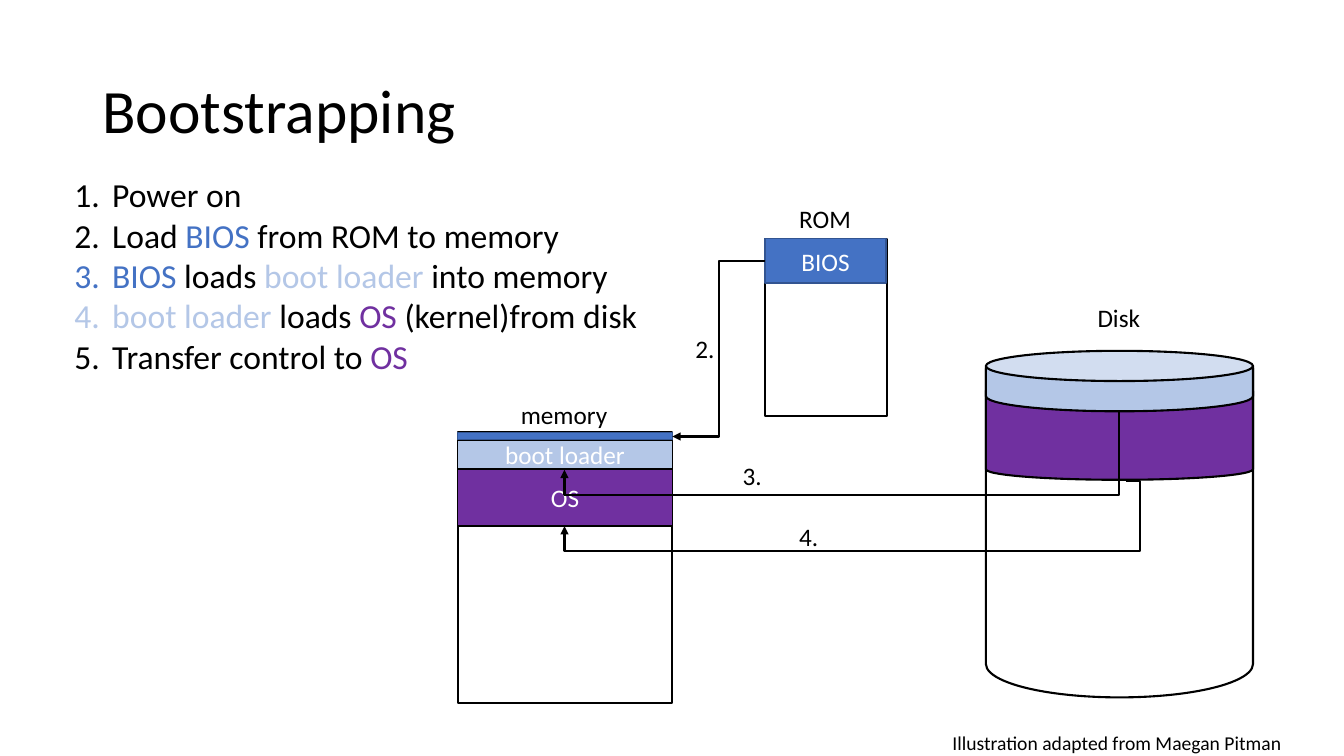
from dataclasses import dataclass

from pptx import Presentation
from pptx.dml.color import RGBColor
from pptx.enum.shapes import MSO_CONNECTOR as Link, MSO_SHAPE as Kind
from pptx.enum.text import MSO_ANCHOR as Anchor, MSO_AUTO_SIZE as Fit, PP_ALIGN as Align
from pptx.oxml.ns import qn
from pptx.oxml.xmlchemy import OxmlElement
from pptx.util import Pt

FONT = "Calibri"
BLACK, WHITE = "000000", "FFFFFF"
BIOS, LOADER, OS, EDGE = "4472C4", "B4C7E7", "7030A0", "325491"
DISK_X, DISK_W = 704.2, 190.8
MEM_X, MEM_Y, MEM_W = 326.9, 308.9, 153.4
ROM_X, ROM_Y = 546.5, 170.6


@dataclass
class Block:
    name: str
    box: tuple
    fill: str
    kind: Kind = Kind.RECTANGLE
    line: str = BLACK
    weight: float = 1.5
    text: str = ""
    adj: float | None = None


@dataclass
class Label:
    box: tuple
    lines: list
    size: float = 18
    wrap: bool = False
    anchor: Anchor = Anchor.TOP
    fit: Fit = Fit.SHAPE_TO_FIT_TEXT
    spacing: float = 1.0
    numbered: bool = False


@dataclass
class Route:
    box: tuple
    turn: int
    flip: bool
    end: tuple
    start: tuple | None = None
    preset: str = "bentConnector3"
    adj: tuple = ()


def rgb(value: str) -> RGBColor:
    return RGBColor.from_string(value)


def add_child(parent, tag: str, attrs: dict):
    child = OxmlElement(tag)
    for key, value in attrs.items():
        child.set(key, str(value))
    parent.append(child)
    return child


def add_run(p, text: str, size: float, color: str) -> None:
    r = p.add_run()
    r.text = text
    for key, value in {"name": FONT, "size": Pt(size)}.items():
        setattr(r.font, key, value)
    r.font.color.rgb = rgb(color)


def draw_block(shapes, block: Block):
    s = shapes.add_shape(block.kind, *map(Pt, block.box))
    s.shadow.inherit = False
    s.fill.solid()
    s.fill.fore_color.rgb = rgb(block.fill)
    s.line.color.rgb = rgb(block.line)
    s.line.width = Pt(block.weight)
    if block.adj is not None:
        s.adjustments[0] = block.adj
    if block.text:
        s.text_frame.vertical_anchor = Anchor.MIDDLE
        p = s.text_frame.paragraphs[0]
        p.alignment = Align.CENTER
        add_run(p, block.text, 18, WHITE)
    return s


def draw_label(shapes, label: Label) -> None:
    tf = shapes.add_textbox(*map(Pt, label.box)).text_frame
    formats = {"word_wrap": label.wrap, "auto_size": label.fit, "vertical_anchor": label.anchor}
    for key, value in formats.items():
        setattr(tf, key, value)
    for i, runs in enumerate(label.lines):
        p = tf.add_paragraph() if i else tf.paragraphs[0]
        p.line_spacing = label.spacing
        if label.numbered:
            pPr = p._p.get_or_add_pPr()
            for key, value in {"marL": Pt(27), "indent": -Pt(27)}.items():
                pPr.set(key, str(value))
            add_child(pPr, "a:buFont", {"typeface": "+mj-lt"})
            add_child(pPr, "a:buAutoNum", {"type": "arabicPeriod"})
        for text, color in runs:
            add_run(p, text, label.size, color)


def draw_route(shapes, route: Route, blocks: dict) -> None:
    c = shapes.add_connector(Link.ELBOW, 0, 0, 0, 0)
    if route.start:
        c.begin_connect(blocks[route.start[0]], route.start[1])
    c.end_connect(blocks[route.end[0]], route.end[1])
    for key, value in zip(("left", "top", "width", "height"), route.box):
        setattr(c, key, Pt(value))
    c.line.color.rgb = rgb(BLACK)
    c.line.width = Pt(1.5)
    spPr = c._element.spPr
    xfrm = spPr.find(qn("a:xfrm"))
    for key, value in {"rot": route.turn * 60000, "flipH": 0, "flipV": int(route.flip)}.items():
        xfrm.set(key, str(value))
    geom = spPr.find(qn("a:prstGeom"))
    geom.set("prst", route.preset)
    guides = geom.find(qn("a:avLst"))
    for i, value in enumerate(route.adj, 1):
        add_child(guides, "a:gd", {"name": f"adj{i}", "fmla": f"val {round(value * 100000)}"})
    add_child(spPr.find(qn("a:ln")), "a:tailEnd", {"type": "triangle"})
    add_child(spPr, "a:effectLst", {})


def plain(text: str) -> list:
    return [[(text, BLACK)]]


STEPS = [
    [("Power on", BLACK)],
    [("Load ", BLACK), ("BIOS", BIOS), (" from ROM to memory", BLACK)],
    [("BIOS", BIOS), (" loads ", BLACK), ("boot loader ", LOADER), ("into memory", BLACK)],
    [("boot loader", LOADER), (" loads ", BLACK), ("OS", OS), (" (kernel)from disk", BLACK)],
    [("Transfer control to ", BLACK), ("OS", OS)],
]
BLOCKS = [
    Block("disk", (DISK_X, 255.6, DISK_W, 242.6), WHITE, Kind.CAN),
    Block("disk OS", (DISK_X, 255.6, DISK_W, 87.1), OS, Kind.CAN, adj=0.173),
    Block("disk loader", (DISK_X, 250.6, DISK_W, 43.2), LOADER, Kind.CAN, adj=0.5),
    Block("memory", (MEM_X, MEM_Y, MEM_W, 193), WHITE),
    Block("ROM", (ROM_X, ROM_Y, 87.1, 126.7), WHITE),
    Block("ROM BIOS", (ROM_X, ROM_Y, 86.4, 31.7), BIOS, line=EDGE, weight=1, text="BIOS"),
    Block("memory BIOS", (MEM_X, MEM_Y, MEM_W, 5), BIOS, line=EDGE, weight=1),
    Block("memory loader", (MEM_X, 314.6, MEM_W, 20.4), LOADER, weight=1, text="boot loader"),
    Block("memory OS", (MEM_X, 335.5, MEM_W, 40.3), OS, weight=1, text="OS"),
]
ROUTES = [
    Route((480.2, 186.5, 66.2, 125.3), 180, True, ("memory BIOS", 3), ("ROM BIOS", 1)),
    Route((580.3, 116.6, 41.8, 396), 90, False, ("memory loader", 2), ("disk loader", 3),
          adj=(1.431,)),
    Route((403.2, 343.4, 401, 32.4), 180, True, ("memory OS", 2),
          preset="bentConnector4", adj=(-0.026, 1.558)),
]
LABELS = [
    Label((66.2, 28.8, 828, 104.4), plain("Bootstrapping"), 44, True, Anchor.MIDDLE,
          Fit.NONE, 0.9),
    Label((563.8, 141.8, 51.8, 28.8), plain("ROM")),
    Label((365, 281.5, 77, 28.8), plain("memory")),
    Label((776.9, 212.4, 45.4, 28.8), plain("Disk")),
    Label((46.1, 121, 419.8, 152.6), STEPS, 24, numbered=True),
    Label((489.6, 234.7, 33.1, 28.8), plain("2."), wrap=True),
    Label((523.4, 325.4, 33.1, 28.8), plain("3."), wrap=True),
    Label((563.8, 368.6, 33.1, 28.8), plain("4."), wrap=True),
    Label((673.2, 518.4, 252, 24.5), plain("Illustration adapted from Maegan Pitman"), 14),
]

prs = Presentation()
prs.slide_width, prs.slide_height = Pt(960), Pt(540)
shapes = prs.slides.add_slide(prs.slide_layouts[6]).shapes
blocks = {block.name: draw_block(shapes, block) for block in BLOCKS}
for route in ROUTES:
    draw_route(shapes, route, blocks)
for label in LABELS:
    draw_label(shapes, label)
prs.save("out.pptx")
